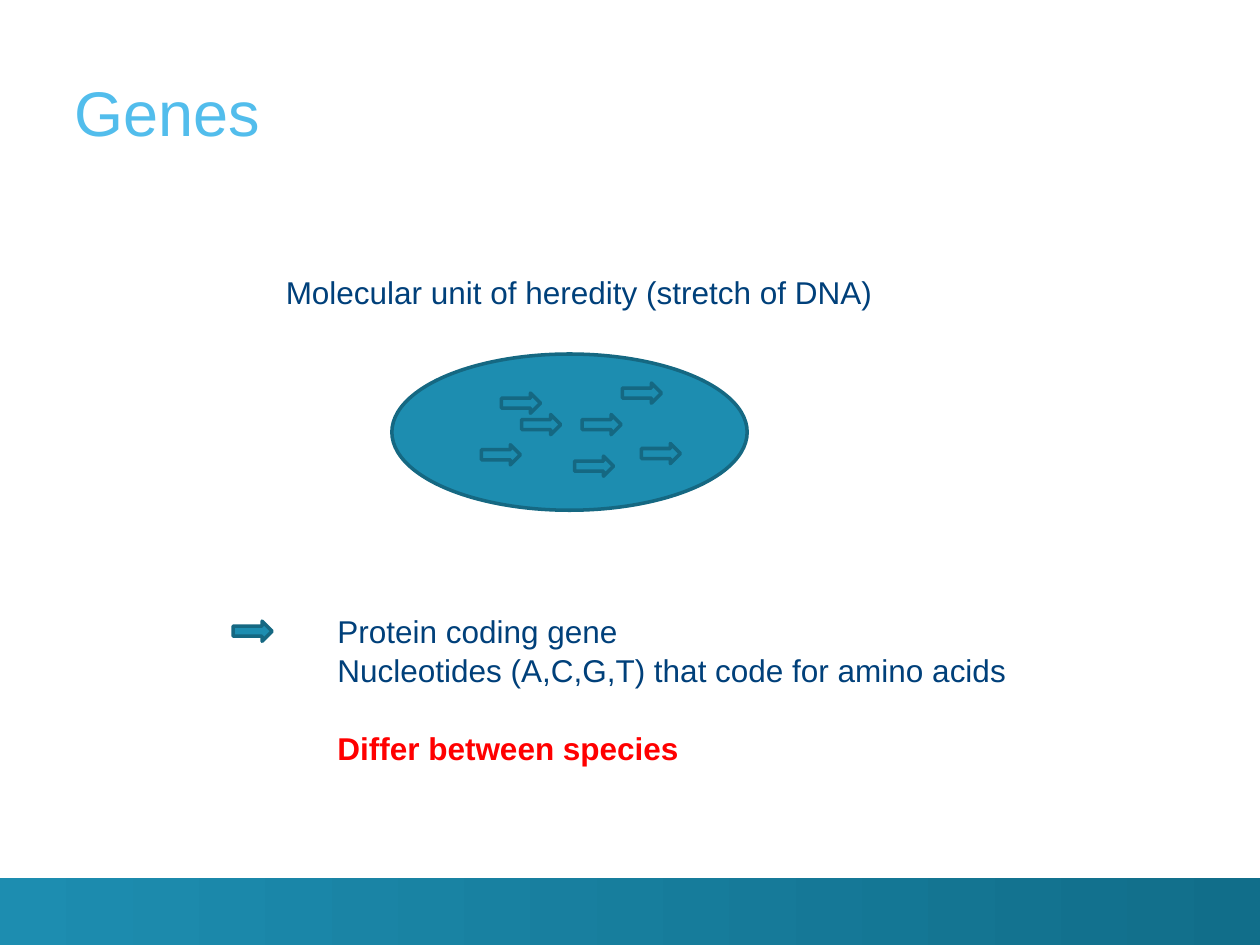
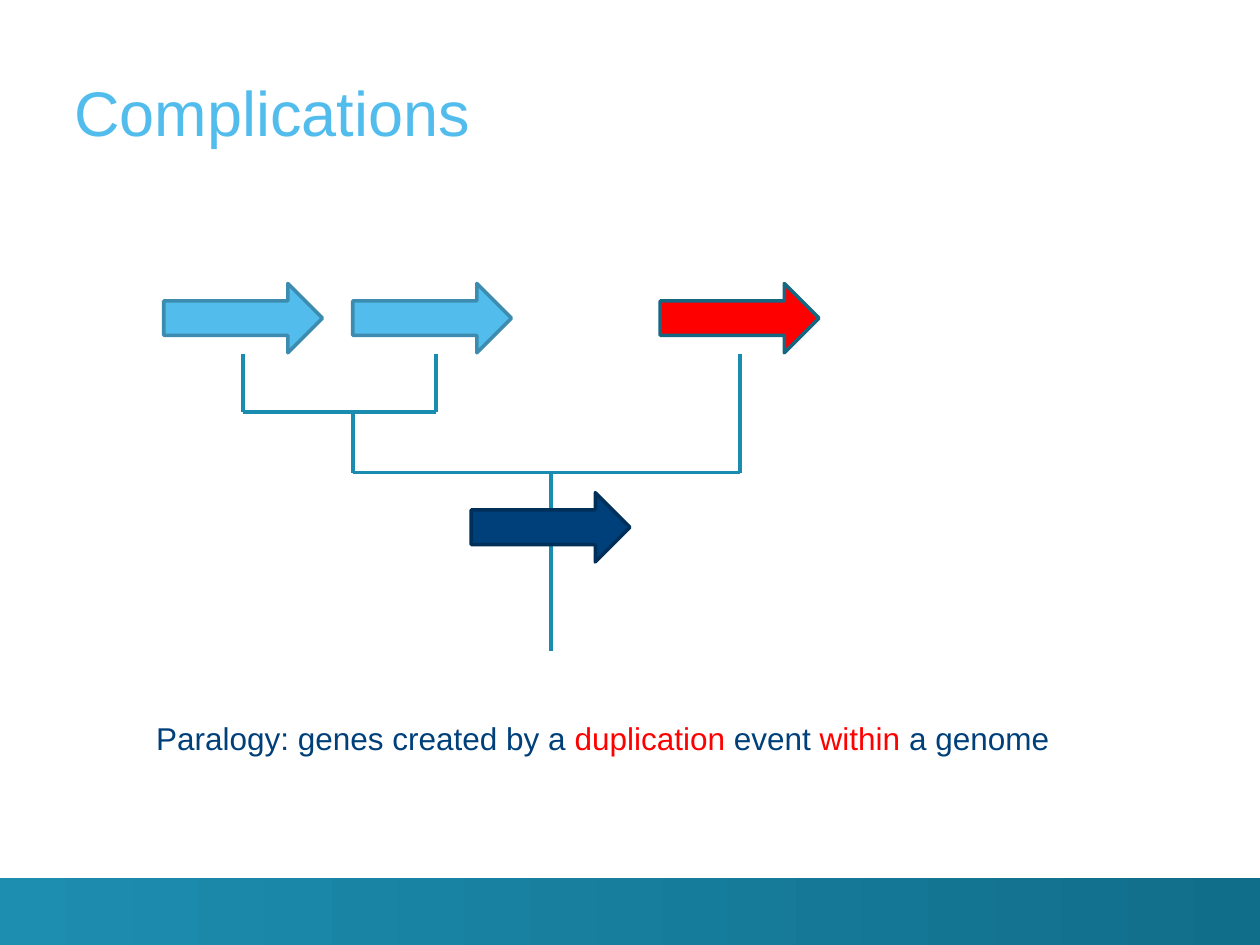
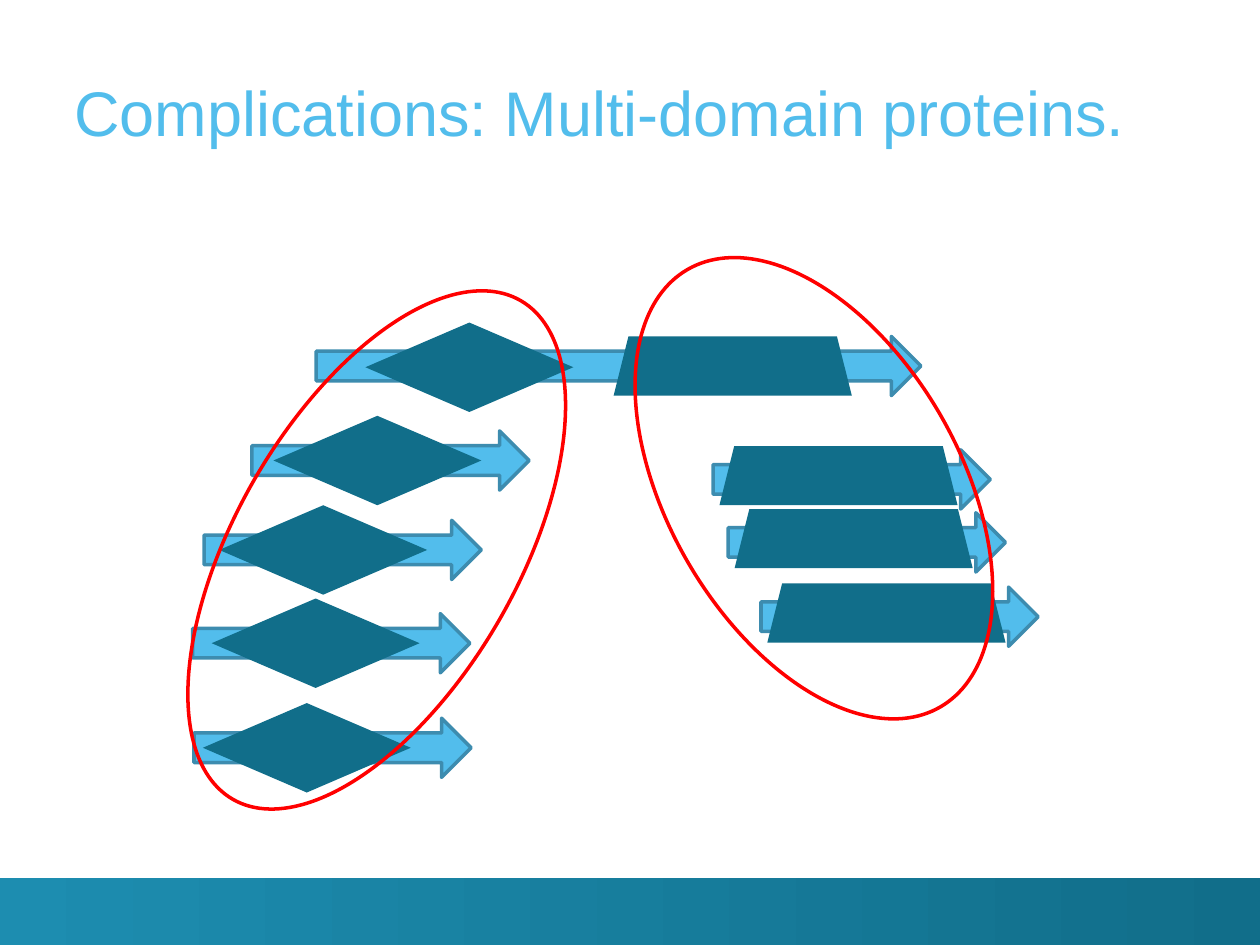
"""Build three slides on genes, paralogy and multi-domain proteins."""
from lxml import etree
from pptx import Presentation, util as u
from pptx.dml import color
from pptx.enum import shapes, text
from pptx.oxml import ns

FONT = "Arial"
NAVY, NAVY_EDGE = "00407A", "002F5A"
SKY, SKY_EDGE = "52BDEC", "3D8CAF"
TEAL, TEAL_EDGE, DEEP_TEAL = "1D8DB0", "156882", "116E8A"
BRANCH, RED = "198CB0", "FF0000"
KIND = shapes.MSO_SHAPE

deck = Presentation()
deck.slide_width, deck.slide_height = u.Inches(10), u.Inches(7.5)
COLUMN = deck.slide_width / 10
ROW = deck.slide_height / 7.5


def rgb(code):
    return color.RGBColor.from_string(code)


def draw(page, kind, left, top, width, height, fill=None, edge=None):
    shape = page.shapes.add_shape(
        kind, int(left * COLUMN), int(top * ROW), int(width * COLUMN), int(height * ROW))
    shape.shadow.inherit = False
    if fill:
        shape.fill.solid()
        shape.fill.fore_color.rgb = rgb(fill)
    else:
        shape.fill.background()
    if edge:
        shape.line.color.rgb = rgb(edge)
        shape.line.width = u.Pt(2)
    else:
        shape.line.fill.background()
    return shape


pages = []
for title in ("Genes", "Complications", "Complications: Multi-domain proteins."):
    page = deck.slides.add_slide(deck.slide_layouts[6])
    pages.append(page)

    band = draw(page, KIND.RECTANGLE, 0, 6.97, 10, 0.53)
    band.fill.gradient()
    band.fill.gradient_angle = 0
    for stop, code in zip(band.fill.gradient_stops, (TEAL, DEEP_TEAL)):
        stop.color.rgb = rgb(code)

    box = page.shapes.add_textbox(
        int(0.59 * COLUMN), int(0.2 * ROW), int(9.11 * COLUMN), int(0.98 * ROW))
    frame = box.text_frame
    frame.word_wrap = True
    frame.vertical_anchor = text.MSO_ANCHOR.BOTTOM
    frame.margin_left = frame.margin_right = frame.margin_top = frame.margin_bottom = 0
    frame.text = title
    font = frame.paragraphs[0].runs[0].font
    font.name, font.size, font.color.rgb = FONT, u.Pt(36), rgb(SKY)

genes, paralogy, domains = pages

draw(genes, KIND.OVAL, 3.11, 2.81, 2.82, 1.24, TEAL, TEAL_EDGE)
legend_gene = (1.85, 4.93)
cell_genes = [(3.98, 3.12), (4.14, 3.29), (3.82, 3.53), (4.62, 3.29),
              (4.56, 3.62), (5.09, 3.52), (4.94, 3.04)]
for left, top in cell_genes + [legend_gene]:
    draw(genes, KIND.RIGHT_ARROW, left, top, 0.31, 0.16, TEAL, TEAL_EDGE)

leaf, duplication, root = 2.81, 3.27, 3.75
branches = [
    (4.37, root, 4.37, 5.17),
    (2.8, root, 5.87, root),
    (2.8, duplication, 2.8, root),
    (5.87, leaf, 5.87, root),
    (1.93, duplication, 3.46, duplication),
    (3.46, leaf, 3.46, duplication),
    (1.93, leaf, 1.93, duplication),
]
for start_x, start_y, end_x, end_y in branches:
    branch = paralogy.shapes.add_connector(
        shapes.MSO_CONNECTOR.STRAIGHT, int(start_x * COLUMN), int(start_y * ROW),
        int(end_x * COLUMN), int(end_y * ROW))
    branch.line.color.rgb = rgb(BRANCH)
    branch.line.width = u.Pt(2.25)
    etree.SubElement(branch._element.spPr, ns.qn("a:effectLst"))

for left, top, fill, edge in [(1.3, 2.25, SKY, SKY_EDGE), (2.8, 2.25, SKY, SKY_EDGE),
                              (5.24, 2.25, RED, TEAL_EDGE), (3.74, 3.91, NAVY, NAVY_EDGE)]:
    draw(paralogy, KIND.RIGHT_ARROW, left, top, 1.26, 0.55, fill, edge)

draw(domains, KIND.RIGHT_ARROW, 2.51, 2.67, 4.8, 0.47, SKY, SKY_EDGE)
draw(domains, KIND.TRAPEZOID, 4.87, 2.67, 1.89, 0.47, DEEP_TEAL)
draw(domains, KIND.DIAMOND, 2.9, 2.56, 1.65, 0.71, DEEP_TEAL)
for left, top, diamond_left in [(2, 3.42, 2.17), (1.62, 4.13, 1.74),
                                (1.53, 4.87, 1.68), (1.54, 5.7, 1.61)]:
    draw(domains, KIND.RIGHT_ARROW, left, top, 2.2, 0.47, SKY, SKY_EDGE)
    draw(domains, KIND.DIAMOND, diamond_left, top - 0.12, 1.65, 0.71, DEEP_TEAL)
for left, top in [(5.66, 3.57), (5.78, 4.07), (6.04, 4.66)]:
    draw(domains, KIND.RIGHT_ARROW, left, top, 2.2, 0.47, SKY, SKY_EDGE)
    draw(domains, KIND.TRAPEZOID, left + 0.05, top - 0.03, 1.89, 0.47, DEEP_TEAL)
for left, top, width, height, angle in [(1.87, 2.08, 2.24, 4.57, 30),
                                        (5.3, 1.87, 2.32, 4.01, 330)]:
    family = draw(domains, KIND.OVAL, left, top, width, height, edge=RED)
    family.rotation = angle

captions = [
    (genes, 2.58, 4.79, 5.56, 1.31, [
        [("Protein coding gene", NAVY)],
        [("Nucleotides (A,C,G,T) that code for amino acids", NAVY)],
        [("Differ between species", RED)]]),
    (genes, 2.17, 2.1, 4.9, 0.4, [[("Molecular unit of heredity (stretch of DNA)", NAVY)]]),
    (paralogy, 1.14, 5.64, 7.49, 0.4, [
        [("Paralogy: genes created by a ", NAVY), ("duplication", RED), (" event ", NAVY),
         ("within ", RED), ("a genome", NAVY)]]),
]
for page, left, top, width, height, lines in captions:
    box = page.shapes.add_textbox(
        int(left * COLUMN), int(top * ROW), int(width * COLUMN), int(height * ROW))
    frame = box.text_frame
    frame.word_wrap = False
    for index, line in enumerate(lines):
        para = frame.add_paragraph() if index else frame.paragraphs[0]
        para.line_spacing = 1.05
        for words, code in line:
            span = para.add_run()
            span.text = words
            span.font.name, span.font.size = FONT, u.Pt(18)
            span.font.color.rgb = rgb(code)
    if len(lines) > 1:
        para.space_before = u.Pt(21.7)
        span.font.bold = True

deck.save("out.pptx")
